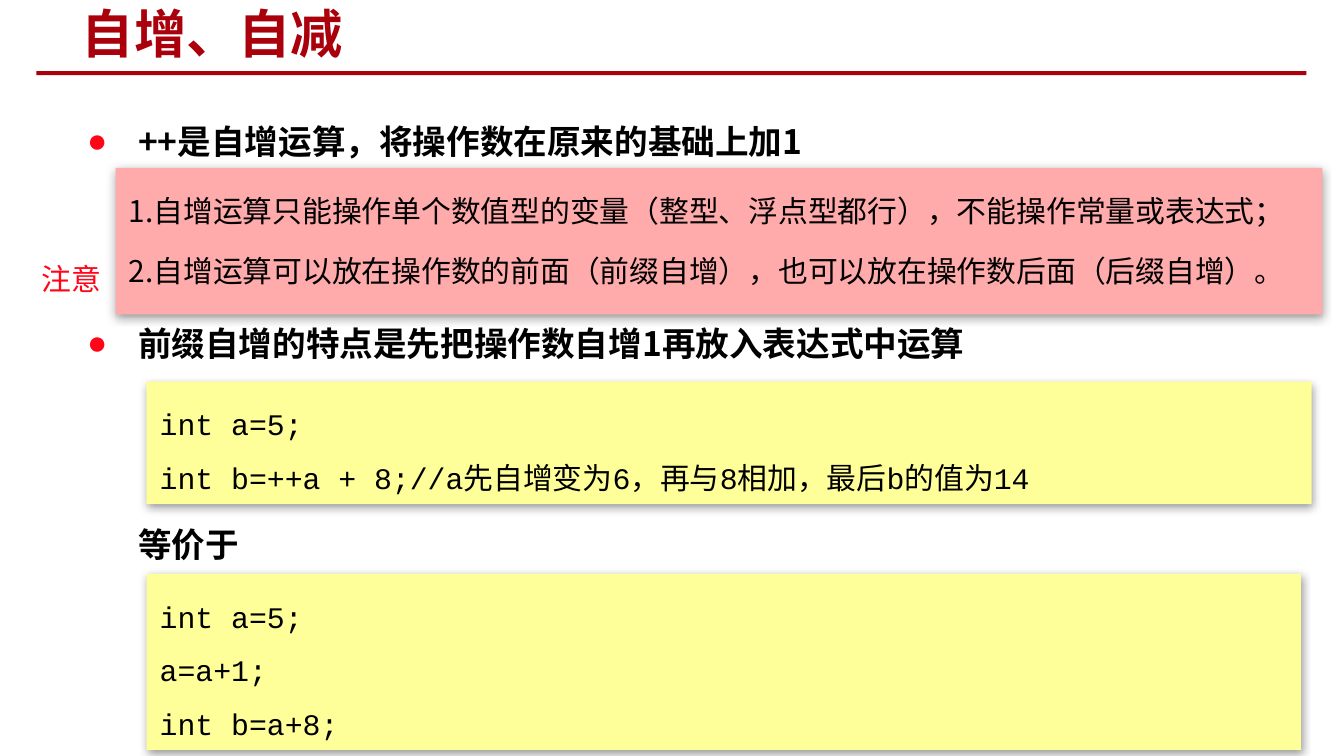
from lxml import etree
from pptx import Presentation
from pptx.dml.color import RGBColor
from pptx.enum.shapes import MSO_SHAPE
from pptx.enum.text import MSO_ANCHOR, PP_ALIGN
from pptx.oxml import parse_xml
from pptx.oxml.ns import nsdecls, qn
from pptx.util import Inches, Pt

RECT = MSO_SHAPE.RECTANGLE
TOP, MID = MSO_ANCHOR.TOP, MSO_ANCHOR.MIDDLE
LEFT = PP_ALIGN.LEFT
DARK = RGBColor(0xAA, 0x00, 0x0B)
RED = RGBColor(0xFF, 0x05, 0x17)
PINK = RGBColor(0xFF, 0xAA, 0xAB)
YELLOW = RGBColor(0xFF, 0xFF, 0x99)
BLACK = RGBColor(0, 0, 0)
SANS, MONO = "Noto Sans CJK SC", "Courier New"

TITLE = "自增、自减"
LABEL = "注意"
POINTS = [
    ("++是自增运算，将操作数在原来的基础上加1", True),
    ("前缀自增的特点是先把操作数自增1再放入表达式中运算", True),
    ("等价于", False),
]
NOTES = [
    "1.自增运算只能操作单个数值型的变量（整型、浮点型都行），不能操作常量或表达式；",
    "2.自增运算可以放在操作数的前面（前缀自增），也可以放在操作数后面（后缀自增）。",
]
PREFIX = ["int a=5;", "int b=++a + 8;//a先自增变为6，再与8相加，最后b的值为14"]
EQUAL = ["int a=5;", "a=a+1;", "int b=a+8;"]
PANELS = [
    (NOTES, (0.86, 1.25, 8.98, 1.09), PINK, SANS, 32.2, 0),
    (PREFIX, (1.09, 2.84, 8.67, 0.91), YELLOW, MONO, 28.7, 0.05),
    (EQUAL, (1.09, 4.27, 8.59, 1.31), YELLOW, MONO, 28.7, 0.05),
]
FIRST, STEP, INDENT = 0.8, 1.5, 0.38


def write(shape, lines, size=16, font=SANS, color=BLACK, bold=False,
          pitch=None, anchor=TOP, inset=0.05, wrap=True, hang=0, dot=False):
    frame = shape.text_frame
    frame.word_wrap = wrap
    frame.vertical_anchor = anchor
    frame.margin_left = frame.margin_right = Inches(0.1)
    frame.margin_top, frame.margin_bottom = Inches(inset), Inches(0.05)
    for i, line in enumerate(lines):
        para = frame.paragraphs[0] if i == 0 else frame.add_paragraph()
        para.alignment = LEFT
        if pitch:
            para.line_spacing = Pt(pitch)
        if hang:
            props = para._p.get_or_add_pPr()
            props.set("marL", str(Inches(hang)))
            props.set("indent", str(-Inches(hang) if dot else 0))
            if dot:
                tint = etree.SubElement(props, qn("a:buClr"))
                etree.SubElement(tint, qn("a:srgbClr"), val=str(RED))
                etree.SubElement(props, qn("a:buFont"), typeface="Arial")
                etree.SubElement(props, qn("a:buChar"), char="●")
        run = para.add_run()
        run.text = line
        run.font.size, run.font.name = Pt(size), font
        run.font.bold, run.font.color.rgb = bold, color
        etree.SubElement(run._r.get_or_add_rPr(), qn("a:ea"), typeface=SANS)


def block(slide, area, fill):
    shape = slide.shapes.add_shape(RECT, *map(Inches, area))
    shape.shadow.inherit = False
    shape.fill.solid()
    shape.fill.fore_color.rgb = fill
    shape.line.fill.background()
    return shape


def shade(shape):
    glow = parse_xml(
        f'<a:outerShdw {nsdecls("a")} blurRad="{Pt(5)}" dist="{Pt(1.6)}" '
        'dir="5400000" rotWithShape="0"><a:srgbClr val="000000">'
        '<a:alpha val="38000"/></a:srgbClr></a:outerShdw>')
    shape._element.spPr.find(qn("a:effectLst")).append(glow)


def text_box(slide, *area):
    return slide.shapes.add_textbox(*map(Inches, area))


def main():
    deck = Presentation()
    deck.slide_width = Inches(10)
    deck.slide_height = deck.slide_width * 9 // 16
    slide = deck.slides.add_slide(deck.slide_layouts[5])

    title = slide.shapes.title
    title.left, title.top = Inches(0.51), Inches(0.02)
    title.width, title.height = Inches(5.3), Inches(0.45)
    write(title, [TITLE], size=28, color=DARK, bold=True, anchor=MID)
    block(slide, (0.27, 0.53, 9.45, 0.03), DARK)

    for i, (point, dot) in enumerate(POINTS):
        box = text_box(slide, 0.55, FIRST + i * STEP, 9.06, 0.5)
        write(box, [point], size=18, bold=True, anchor=MID,
              hang=INDENT, dot=dot)

    for lines, area, fill, font, pitch, inset in PANELS:
        panel = block(slide, area, fill)
        shade(panel)
        write(panel, lines, font=font, pitch=pitch, inset=inset)

    write(text_box(slide, 0.21, 1.89, 0.65, 0.37), [LABEL], color=RED,
          wrap=False)
    deck.save("out.pptx")


if __name__ == "__main__":
    main()
